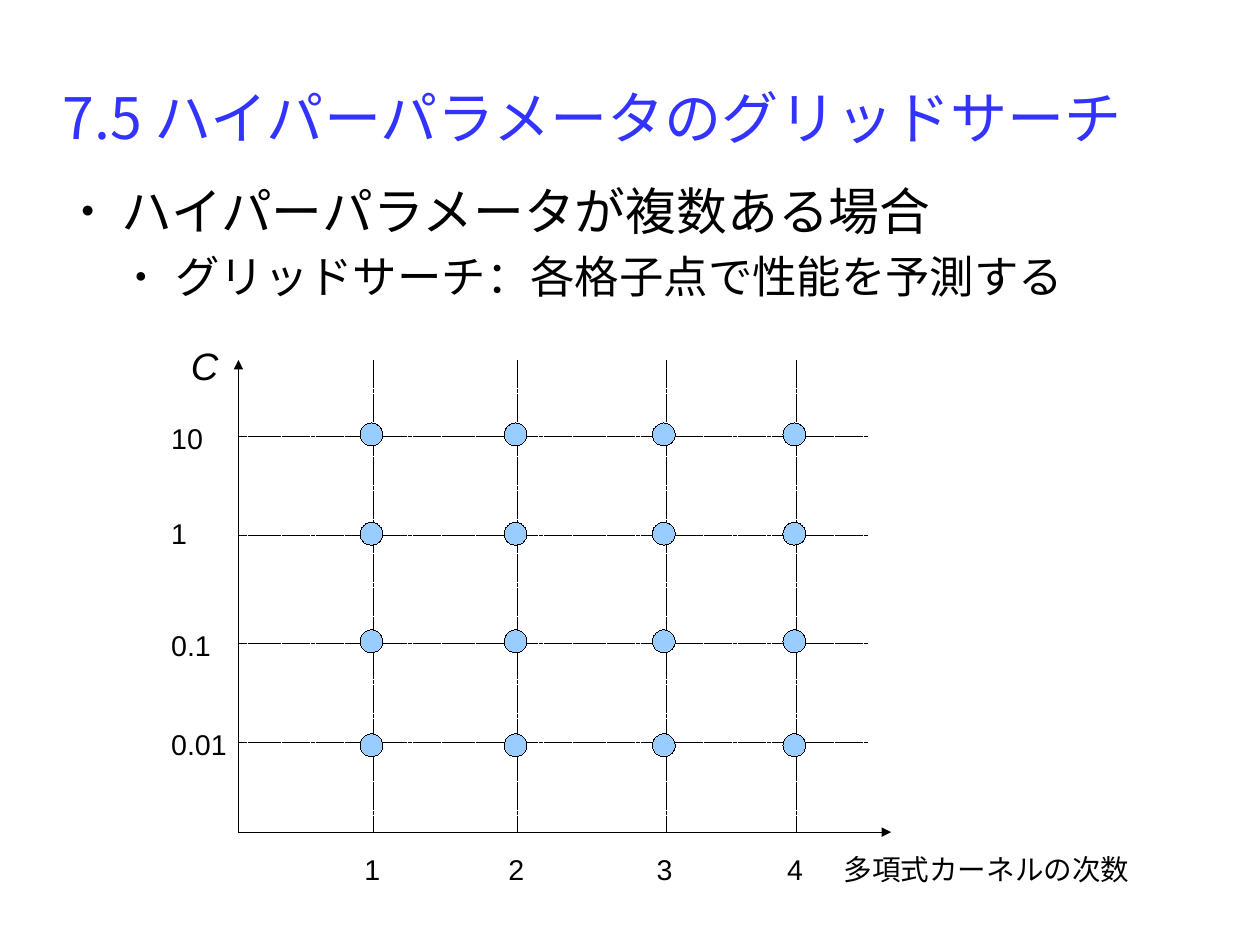
from lxml.etree import SubElement
from pptx import Presentation
from pptx.dml.color import RGBColor
from pptx.enum.dml import MSO_LINE
from pptx.enum.shapes import MSO_CONNECTOR, MSO_SHAPE
from pptx.enum.text import MSO_ANCHOR, PP_ALIGN
from pptx.oxml.ns import qn
from pptx.util import Pt

BLACK = RGBColor(0x00, 0x00, 0x00)
BLUE = RGBColor(0x33, 0x33, 0xFF)
LIGHT_BLUE = RGBColor(0x99, 0xCC, 0xFF)

LATIN_FONT = "Arial"
JAPANESE_FONT = "Noto Sans CJK JP"


class SlideBuilder:
    """Holds the style and the current slide; all lengths are in points."""

    hairline = 0.01
    node_size = 14.4
    bullet_hang = 25.5

    def __init__(self, slide):
        self.slide = slide

    def text_box(self, left, top, width, height, anchor=MSO_ANCHOR.TOP):
        shape = self.slide.shapes.add_textbox(Pt(left), Pt(top), Pt(width), Pt(height))
        frame = shape.text_frame
        frame.word_wrap = True
        frame.vertical_anchor = anchor
        frame.margin_left = frame.margin_right = 0
        frame.margin_top = frame.margin_bottom = 0
        return frame

    def style(self, paragraph, text, size, font=JAPANESE_FONT, color=BLACK, italic=False):
        paragraph.text = text
        paragraph.font.size = Pt(size)
        paragraph.font.name = font
        paragraph.font.color.rgb = color
        paragraph.font.italic = italic
        properties = paragraph._p.pPr.find(qn("a:defRPr"))
        SubElement(properties, qn("a:ea"), typeface=JAPANESE_FONT)

    def bullet(self, paragraph, text, size, level, space_after):
        paragraph.level = level
        paragraph.space_after = Pt(space_after)
        properties = paragraph._p.get_or_add_pPr()
        properties.set("marL", str(Pt(34 * (level + 1))))
        properties.set("indent", str(-Pt(self.bullet_hang)))
        SubElement(properties, qn("a:buSzPct"), val="45000")
        SubElement(properties, qn("a:buFont"), typeface=LATIN_FONT)
        SubElement(properties, qn("a:buChar"), char="●")
        self.style(paragraph, text, size)

    def label(self, text, left, top, width, size=18, italic=False, align=PP_ALIGN.LEFT):
        frame = self.text_box(left, top, width, size * 1.2)
        frame.word_wrap = False
        paragraph = frame.paragraphs[0]
        paragraph.alignment = align
        self.style(paragraph, text, size, LATIN_FONT, italic=italic)

    def line(self, start, end, dashed=False, arrow=False):
        connector = self.slide.shapes.add_connector(
            MSO_CONNECTOR.STRAIGHT, *(Pt(value) for value in start + end))
        connector.line.color.rgb = BLACK
        connector.line.width = Pt(self.hairline)
        if dashed:
            connector.line.dash_style = MSO_LINE.SQUARE_DOT
        if arrow:
            SubElement(connector.line._get_or_add_ln(), qn("a:tailEnd"), type="triangle")
        SubElement(connector._element.spPr, qn("a:effectLst"))

    def node(self, x, y):
        radius = self.node_size / 2
        shape = self.slide.shapes.add_shape(
            MSO_SHAPE.OVAL, Pt(x - radius), Pt(y - radius),
            Pt(self.node_size), Pt(self.node_size))
        shape.shadow.inherit = False
        shape.fill.solid()
        shape.fill.fore_color.rgb = LIGHT_BLUE
        shape.line.color.rgb = BLACK
        shape.line.width = Pt(self.hairline)


def main():
    presentation = Presentation()
    presentation.slide_width = Pt(793.7)
    presentation.slide_height = Pt(595.28)
    builder = SlideBuilder(presentation.slides.add_slide(presentation.slide_layouts[6]))

    # Title
    title = builder.text_box(39.6, 23.8, 714.2, 99.4, MSO_ANCHOR.MIDDLE)
    builder.style(title.paragraphs[0], "7.5 ハイパーパラメータのグリッドサーチ", 36, color=BLUE)

    # Bullets
    body = builder.text_box(42.5, 113, 714.2, 95.8)
    builder.bullet(body.paragraphs[0], "ハイパーパラメータが複数ある場合", 32, 0, 5.7)
    builder.bullet(body.add_paragraph(), "グリッドサーチ：各格子点で性能を予測する", 28, 1, 11.3)

    # Axes
    left, top, bottom = 150.2, 226.8, 524.2
    builder.line((left, bottom), (561.4, bottom), arrow=True)
    builder.line((left, bottom), (left, top), arrow=True)
    builder.label("C", 120.3, 216, 20, size=24, italic=True)
    builder.label("多項式カーネルの次数", 531.4, 536.4, 180)

    # Grid rows: label, label top, line height, node height
    rows = [
        ("10", 265.4, 275, 273.6),
        ("1", 324.7, 337.4, 336.2),
        ("0.1", 395.7, 405.4, 403.9),
        ("0.01", 457.9, 468, 469.4),
    ]
    for text, label_top, line_y, _ in rows:
        builder.line((left, line_y), (547.2, line_y), dashed=True)
        builder.label(text, 107.8, label_top, 40)

    # Grid columns with their nodes
    node_shift = 1.4
    for degree, x in enumerate((235.4, 326.2, 419.6, 501.8), start=1):
        builder.line((x, top), (x, bottom), dashed=True)
        node_x = x - node_shift
        builder.label(str(degree), node_x - 9.5, 536.4, 20, align=PP_ALIGN.CENTER)
        for _, _, _, node_y in rows:
            builder.node(node_x, node_y)

    presentation.save("out.pptx")


if __name__ == "__main__":
    main()
